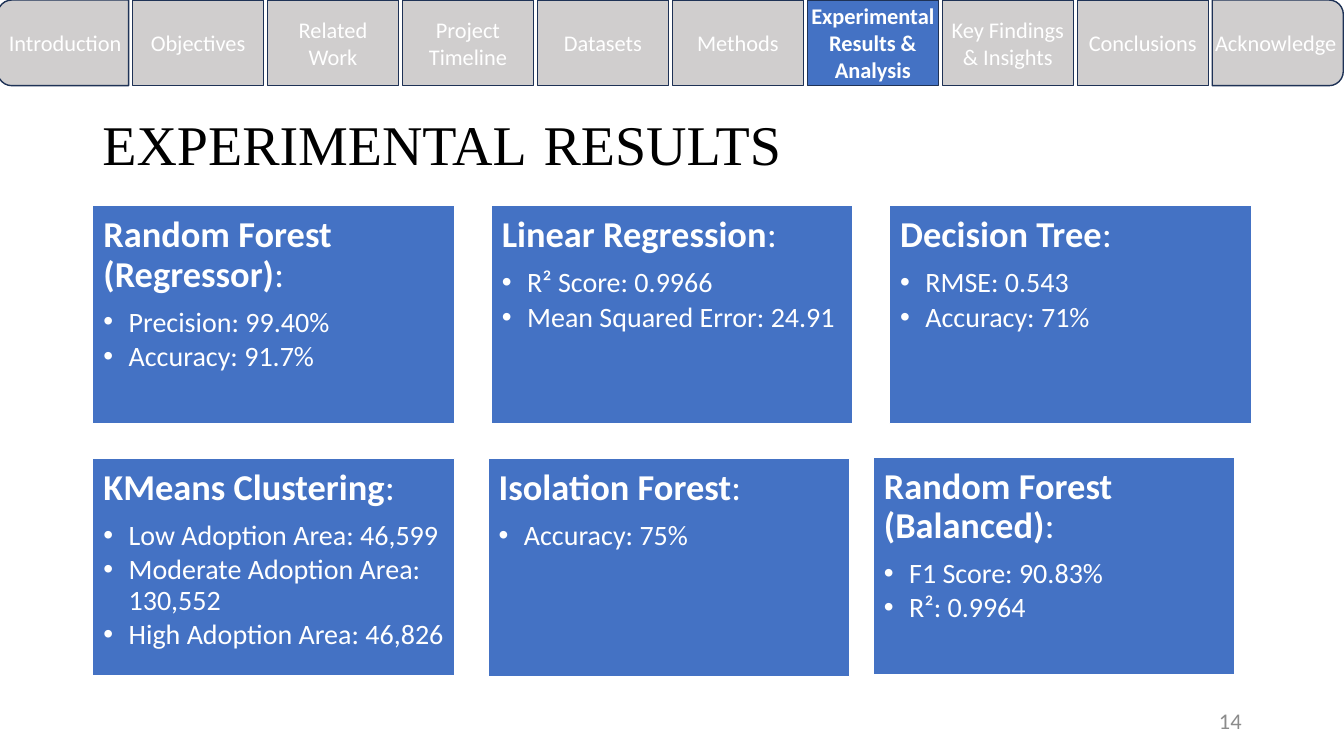
from dataclasses import dataclass
from lxml.etree import SubElement
from pptx import Presentation
from pptx.dml.color import RGBColor
from pptx.enum.shapes import MSO_SHAPE as Preset
from pptx.enum.text import MSO_ANCHOR as Anchor, PP_ALIGN as Align
from pptx.oxml.ns import qn
from pptx.util import Pt

TITLE_WORDS = ("EXPERIMENTAL", "RESULTS")
PAGE_NUMBER = "14"
TABS = [
    "Introduction", "Objectives", "Related Work", "Project Timeline", "Datasets",
    "Methods", "Experimental Results & Analysis", "Key Findings & Insights",
    "Conclusions", "Acknowledge",
]
CURRENT_TAB = "Experimental Results & Analysis"
TIGHT_TABS = {"Introduction", CURRENT_TAB, "Conclusions", "Acknowledge"}
CARDS = [
    (66.2, 147, "Random Forest (Regressor)", ["Precision: 99.40%", "Accuracy: 91.7%"]),
    (350.8, 147, "Linear Regression", ["R² Score: 0.9966", "Mean Squared Error: 24.91"]),
    (635.3, 147, "Decision Tree", ["RMSE: 0.543", "Accuracy: 71%"]),
    (66.2, 327.4, "KMeans Clustering", [
        "Low Adoption Area: 46,599",
        "Moderate Adoption Area: 130,552",
        "High Adoption Area: 46,826",
    ]),
    (348.5, 327.6, "Isolation Forest", ["Accuracy: 75%"]),
    (623.7, 326.5, "Random Forest (Balanced)", ["F1 Score: 90.83%", "R²: 0.9964"]),
]

SLIDE_WIDTH, SLIDE_HEIGHT = 960, 540
CARD_WIDTH, CARD_HEIGHT = 258.5, 155.5
TAB_LEFT, TAB_STEP, TAB_WIDTH, TAB_HEIGHT = -1.7, 96.4, 93.6, 61.2
BULLET_INDENT = 18


@dataclass(frozen=True)
class Theme:
    blue: str = "4472C4"
    gray: str = "D0CECE"
    navy: str = "1E3256"
    white: str = "FFFFFF"
    black: str = "000000"
    page: str = "8C8C8C"
    body_font: str = "Calibri"
    title_font: str = "Times New Roman"
    title_size: int = 40
    title_gap_size: int = 48
    heading_size: int = 26
    item_size: int = 20
    small_size: int = 16


THEME = Theme()


def add_run(paragraph, text, size, color, bold=False, font=THEME.body_font):
    run = paragraph.add_run()
    run.text = text
    run.font.name = font
    run.font.size = Pt(size)
    run.font.bold = bold
    run.font.color.rgb = RGBColor.from_string(color)


def set_frame(frame, anchor, inset):
    frame.word_wrap = True
    frame.vertical_anchor = anchor
    frame.margin_left = frame.margin_right = Pt(inset)
    frame.margin_top = frame.margin_bottom = Pt(inset)


def add_box(slide, preset, left, top, width, height, fill, line):
    shape = slide.shapes.add_shape(preset, Pt(left), Pt(top), Pt(width), Pt(height))
    shape.shadow.inherit = False
    shape.fill.solid()
    shape.fill.fore_color.rgb = RGBColor.from_string(fill)
    shape.line.color.rgb = RGBColor.from_string(line)
    shape.line.width = Pt(1)
    return shape


def add_bullet(paragraph):
    properties = paragraph._p.get_or_add_pPr()
    properties.set("marL", str(Pt(BULLET_INDENT)))
    properties.set("indent", str(-Pt(BULLET_INDENT)))
    SubElement(properties, qn("a:buFont")).set("typeface", "Arial")
    SubElement(properties, qn("a:buChar")).set("char", "•")


def add_title(slide):
    title = slide.shapes.title
    title.left, title.top, title.width, title.height = Pt(66), Pt(72), Pt(828), Pt(61)
    title.text_frame.word_wrap = True
    title.text_frame.vertical_anchor = Anchor.MIDDLE
    paragraph = title.text_frame.paragraphs[0]
    paragraph.alignment = Align.LEFT
    paragraph.line_spacing = 0.9
    first, second = TITLE_WORDS
    for text, size in ((first, THEME.title_size), (" ", THEME.title_gap_size), (second, THEME.title_size)):
        add_run(paragraph, text, size, THEME.black, font=THEME.title_font)


def add_card(slide, left, top, heading, items):
    card = add_box(slide, Preset.RECTANGLE, left, top, CARD_WIDTH, CARD_HEIGHT, THEME.blue, THEME.white)
    frame = card.text_frame
    set_frame(frame, Anchor.TOP, 7.7)
    paragraph = frame.paragraphs[0]
    paragraph.space_after = Pt(THEME.heading_size * 0.35)
    add_run(paragraph, heading, THEME.heading_size, THEME.white, bold=True)
    add_run(paragraph, ":", THEME.heading_size, THEME.white)
    for item in items:
        paragraph = frame.add_paragraph()
        paragraph.level = 1
        paragraph.space_after = Pt(THEME.item_size * 0.15)
        add_bullet(paragraph)
        add_run(paragraph, item, THEME.item_size, THEME.white)
    for paragraph in frame.paragraphs:
        paragraph.alignment = Align.LEFT
        paragraph.line_spacing = 0.9


def add_tab(slide, index, label):
    left = TAB_LEFT + index * TAB_STEP
    current = label == CURRENT_TAB
    fill = THEME.blue if current else THEME.gray
    end_turns = {0: (270, "vert"), len(TABS) - 1: (90, "vert270")}
    if index in end_turns:
        offset = (TAB_WIDTH - TAB_HEIGHT) / 2
        tab = add_box(slide, Preset.ROUND_2_SAME_RECTANGLE, left + offset, -offset,
                      TAB_HEIGHT, TAB_WIDTH, fill, THEME.navy)
        tab.rotation, direction = end_turns[index]
        tab.element.txBody.bodyPr.set("vert", direction)
    else:
        tab = add_box(slide, Preset.RECTANGLE, left, 0, TAB_WIDTH, TAB_HEIGHT, fill, THEME.navy)
    set_frame(tab.text_frame, Anchor.MIDDLE, 0 if label in TIGHT_TABS else 3.6)
    paragraph = tab.text_frame.paragraphs[0]
    paragraph.alignment = Align.CENTER
    add_run(paragraph, label, THEME.small_size, THEME.white, bold=current)


def add_page_number(slide):
    box = slide.shapes.add_textbox(Pt(678), Pt(500.5), Pt(216), Pt(28.8))
    box.text_frame.word_wrap = True
    box.text_frame.vertical_anchor = Anchor.MIDDLE
    paragraph = box.text_frame.paragraphs[0]
    paragraph.alignment = Align.RIGHT
    add_run(paragraph, PAGE_NUMBER, THEME.small_size, THEME.page)


def main():
    presentation = Presentation()
    presentation.slide_width, presentation.slide_height = Pt(SLIDE_WIDTH), Pt(SLIDE_HEIGHT)
    slide = presentation.slides.add_slide(presentation.slide_layouts[5])
    add_title(slide)
    for card in CARDS:
        add_card(slide, *card)
    add_page_number(slide)
    for index, label in enumerate(TABS):
        add_tab(slide, index, label)
    presentation.save("out.pptx")


if __name__ == "__main__":
    main()
